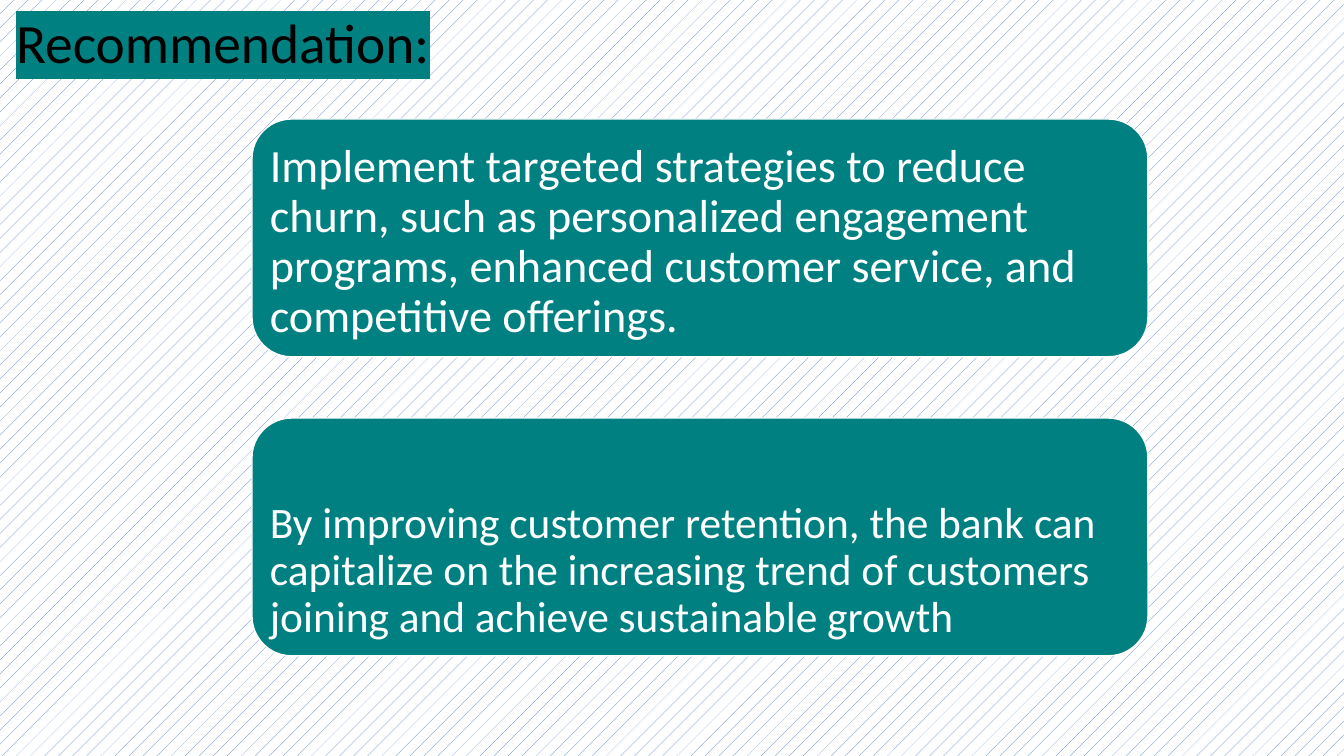
from dataclasses import dataclass

from lxml import etree
from pptx import Presentation
from pptx.dml.color import RGBColor
from pptx.enum import dml, shapes, text
from pptx.oxml.ns import qn
from pptx.util import Pt


@dataclass(frozen=True)
class Theme:
    teal: str = "008080"
    white: str = "FFFFFF"
    black: str = "000000"
    pattern: str = "4472C4"
    font: str = "Calibri"
    title_size: float = 39.6
    card_sizes: tuple = (33, 31)


THEME = Theme()
CARDS = (
    "Implement targeted strategies to reduce churn, such as personalized engagement "
    "programs, enhanced customer service, and competitive offerings.",
    "By improving customer retention, the bank can capitalize on the increasing trend "
    "of customers joining and achieve sustainable growth",
)


def rgb(value):
    return RGBColor.from_string(value)


def format_paragraph(p, size, color):
    p.alignment = text.PP_ALIGN.LEFT
    p.line_spacing = 0.9
    p.font.name = THEME.font
    p.font.size = Pt(size)
    p.font.color.rgb = rgb(color)


def paint_background(s):
    fill = s.background.fill
    fill.patterned()
    fill.pattern = dml.MSO_PATTERN.PERCENT_5
    fill.fore_color.rgb = rgb(THEME.pattern)
    fill.back_color.rgb = rgb(THEME.white)


def add_title(s, left, top, width, height):
    sp = s.shapes.title
    sp.left, sp.top, sp.width, sp.height = Pt(left), Pt(top), Pt(width), Pt(height)
    tf = sp.text_frame
    tf.word_wrap = True
    tf.vertical_anchor = text.MSO_ANCHOR.MIDDLE
    p = tf.paragraphs[0]
    r = p.add_run()
    r.text = "Recommendation:"
    p.add_line_break()
    format_paragraph(p, THEME.title_size, THEME.black)
    highlight = etree.SubElement(r._r.get_or_add_rPr(), qn("a:highlight"))
    etree.SubElement(highlight, qn("a:srgbClr"), val=THEME.teal)


def add_card(s, words, size, left, top, width, height):
    sp = s.shapes.add_shape(
        shapes.MSO_SHAPE.ROUNDED_RECTANGLE, Pt(left), Pt(top), Pt(width), Pt(height)
    )
    sp.shadow.inherit = False
    sp.fill.solid()
    sp.fill.fore_color.rgb = rgb(THEME.teal)
    sp.line.color.rgb = rgb(THEME.white)
    sp.line.width = Pt(1)
    tf = sp.text_frame
    tf.word_wrap = True
    tf.vertical_anchor = text.MSO_ANCHOR.BOTTOM
    tf.margin_left = tf.margin_right = Pt(4.5)
    tf.margin_top = tf.margin_bottom = Pt(2)
    p = tf.paragraphs[0]
    p.text = words
    format_paragraph(p, size, THEME.white)


def add_cards(s, left, top, width, height, gap):
    card_height = (height - gap * (len(CARDS) - 1)) / len(CARDS)
    for i, (words, size) in enumerate(zip(CARDS, THEME.card_sizes)):
        add_card(s, words, size, left, top + i * (card_height + gap), width, card_height)


def main():
    prs = Presentation()
    prs.slide_width, prs.slide_height = Pt(960), Pt(540)
    s = prs.slides.add_slide(prs.slide_layouts[5])
    paint_background(s)
    add_title(s, 4.3, 28, 311, 57)
    add_cards(s, 180, 85, 640, 383.5, 43.7)
    prs.save("out.pptx")


if __name__ == "__main__":
    main()
